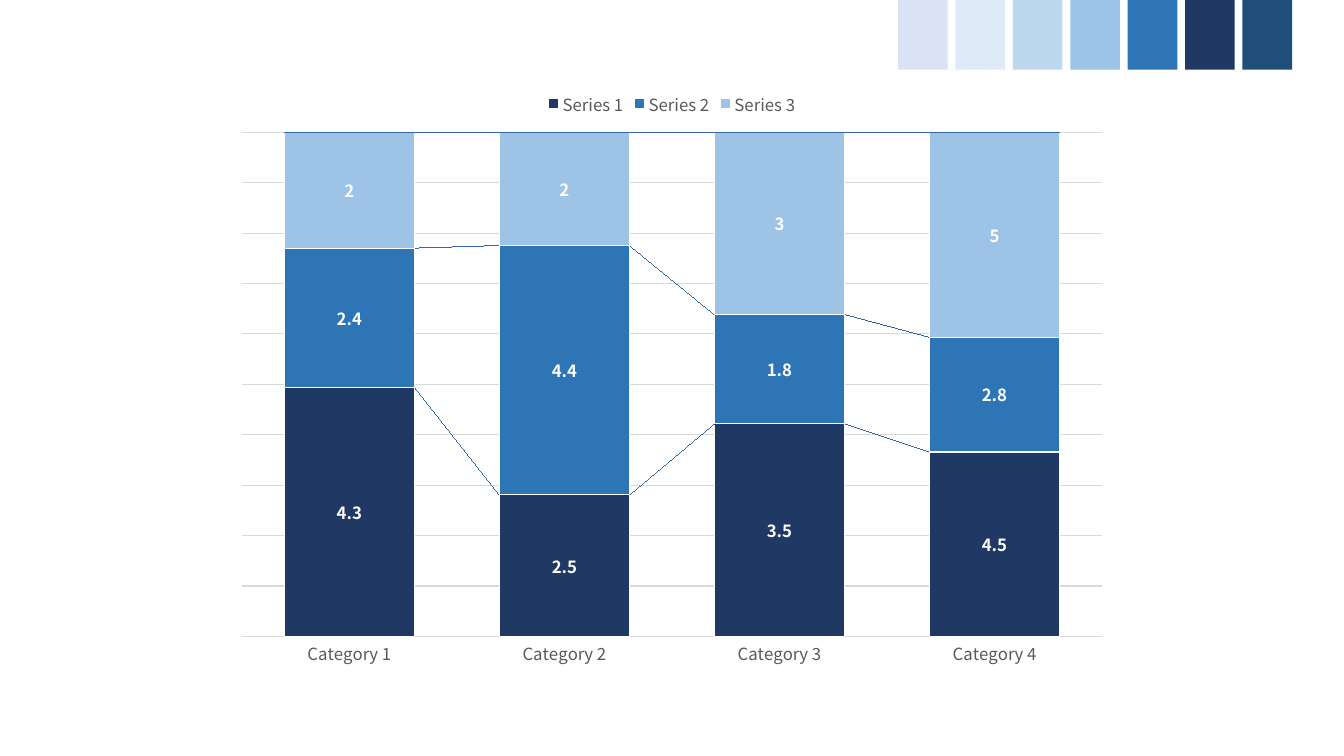
from lxml.etree import SubElement
from pptx import Presentation
from pptx.chart.data import CategoryChartData
from pptx.dml.color import RGBColor
from pptx.enum.chart import (
    XL_CHART_TYPE, XL_LABEL_POSITION, XL_LEGEND_POSITION, XL_TICK_LABEL_POSITION, XL_TICK_MARK,
)
from pptx.enum.shapes import MSO_SHAPE
from pptx.oxml.ns import qn
from pptx.util import Pt

FONT = "Noto Sans CJK KR"
COLORS = {
    "lavender": "DAE3F3", "ice": "DEEBF7", "pale": "BDD7EE", "light": "9DC3E6",
    "medium": "2E75B6", "navy": "203864", "teal": "1F4E79",
    "white": "FFFFFF", "black": "000000", "text": "595959", "grid": "D9D9D9",
}
SWATCHES = ["lavender", "ice", "pale", "light", "medium", "navy", "teal"]
CATEGORIES = ["Category 1", "Category 2", "Category 3", "Category 4"]
# Name, values, fill colour, outline width
SERIES = [
    ("Series 1", (4.3, 2.5, 3.5, 4.5), "navy", 1),
    ("Series 2", (2.4, 4.4, 1.8, 2.8), "medium", 0.75),
    ("Series 3", (2, 2, 3, 5), "light", 0.75),
]


def rgb(color):
    return RGBColor.from_string(COLORS[color])


def style_text(text, size=12, color="text", bold=False):
    """Format any chart text that carries a font."""
    text.font.name = FONT
    text.font.size = Pt(size)
    text.font.bold = bold
    text.font.color.rgb = rgb(color)


def style_line(line, color, width=0.75):
    line.color.rgb = rgb(color)
    line.width = Pt(width)


def add_swatch(slide, left, color):
    shape = slide.shapes.add_shape(MSO_SHAPE.RECTANGLE, Pt(left), Pt(-1.4), Pt(35.5), Pt(51.2))
    shape.shadow.inherit = False
    shape.fill.solid()
    shape.fill.fore_color.rgb = rgb(color)
    shape.line.fill.background()


def add_series_lines(plot, color):
    """Join the tops of neighbouring segments; the lines belong before the axis ids."""
    bar_chart = plot._element
    series_lines = SubElement(bar_chart, qn("c:serLines"))
    bar_chart.find(qn("c:axId")).addprevious(series_lines)
    properties = SubElement(series_lines, qn("c:spPr"))
    line = SubElement(properties, qn("a:ln"), w=str(Pt(0.75)))
    fill = SubElement(line, qn("a:solidFill"))
    SubElement(fill, qn("a:srgbClr"), val=COLORS[color])


def style_series(series, color, outline):
    series.format.fill.solid()
    series.format.fill.fore_color.rgb = rgb(color)
    style_line(series.format.line, "white", outline)
    labels = series.data_labels
    labels.show_value = True
    labels.position = XL_LABEL_POSITION.CENTER
    style_text(labels, color="white", bold=True)


def style_axes(chart):
    for axis in (chart.category_axis, chart.value_axis):
        axis.major_tick_mark = XL_TICK_MARK.NONE
        axis.minor_tick_mark = XL_TICK_MARK.NONE
        style_text(axis.tick_labels)
    style_line(chart.category_axis.format.line, "grid")
    value_axis = chart.value_axis
    value_axis.tick_label_position = XL_TICK_LABEL_POSITION.NONE
    value_axis.format.line.fill.background()
    value_axis.has_major_gridlines = True
    style_line(value_axis.major_gridlines.format.line, "grid")
    value_axis.minimum_scale, value_axis.maximum_scale = 0, 1
    value_axis.major_unit = 0.1


def add_stacked_chart(slide):
    data = CategoryChartData()
    data.categories = CATEGORIES
    for name, values, _, _ in SERIES:
        data.add_series(name, values)
    chart = slide.shapes.add_chart(
        XL_CHART_TYPE.COLUMN_STACKED_100, Pt(160), Pt(57), Pt(640), Pt(427), data
    ).chart
    style_text(chart, size=10, color="black")
    chart.has_title = False

    # Legend
    chart.has_legend = True
    chart.legend.position = XL_LEGEND_POSITION.TOP
    chart.legend.include_in_layout = False
    style_text(chart.legend)

    # Columns
    plot = chart.plots[0]
    plot.gap_width = 65
    plot.overlap = 100
    plot.vary_by_categories = False
    for series, (_, _, color, outline) in zip(plot.series, SERIES):
        style_series(series, color, outline)
    add_series_lines(plot, "medium")
    style_axes(chart)


def main():
    presentation = Presentation()
    presentation.slide_width, presentation.slide_height = Pt(960), Pt(540)
    slide = presentation.slides.add_slide(presentation.slide_layouts[6])
    add_stacked_chart(slide)
    # Colour palette along the top edge
    for index, color in enumerate(SWATCHES):
        add_swatch(slide, 641.5 + index * 41, color)
    presentation.save("out.pptx")


main()
